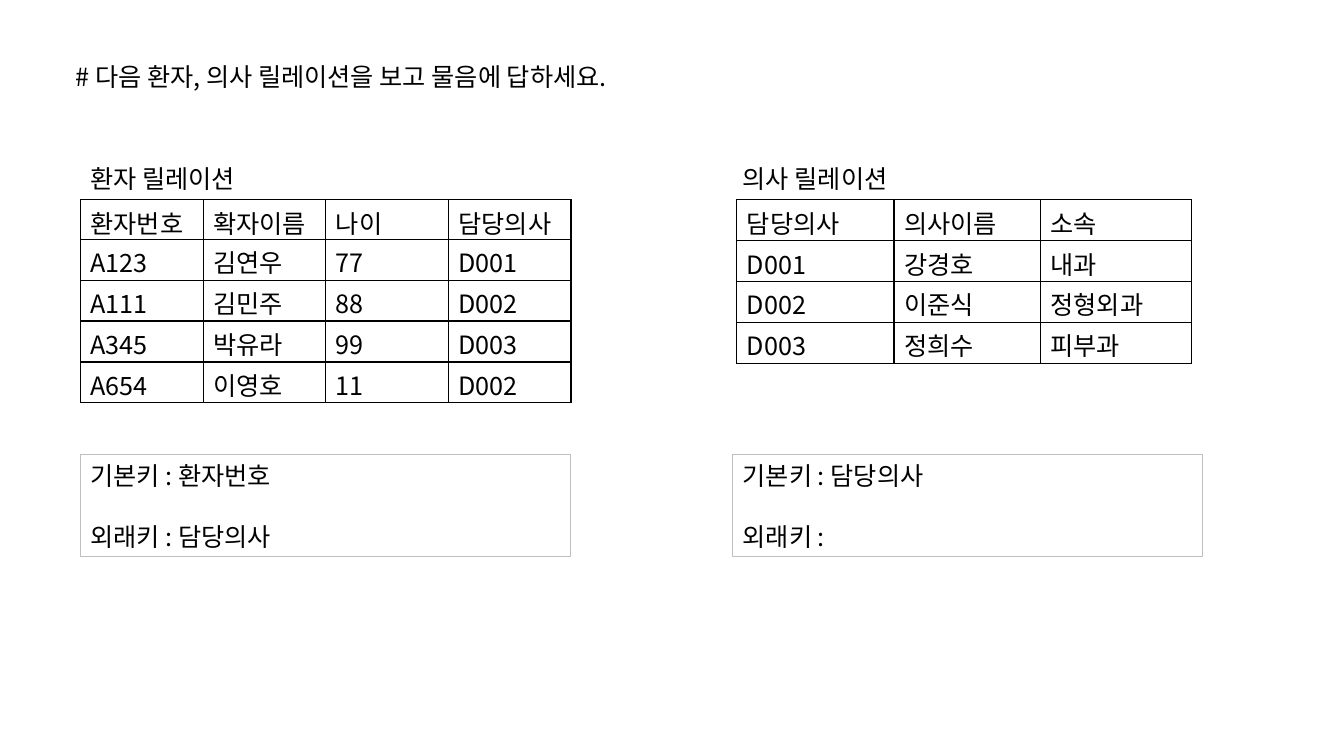
import dataclasses

import lxml.etree
import pptx
import pptx.dml.color
import pptx.enum.shapes
import pptx.enum.text
import pptx.oxml.ns
import pptx.shapes.base
import pptx.slide
import pptx.table
import pptx.text.text
import pptx.util

Cm = pptx.util.Cm
Pt = pptx.util.Pt
FONT = "Noto Sans CJK KR"
BLACK = "000000"
GREY = "BFBFBF"
LINE_HEIGHT = 21.8
LABEL_TOP, TABLE_TOP, KEYS_TOP = 3.99, 5.03, 11.46
LABEL_WIDTH, LABEL_HEIGHT, KEYS_HEIGHT = 4.6, 1.02, 2.57


@dataclasses.dataclass(frozen=True)
class Relation:
    name: str
    left: float
    table_left: float
    column_widths: list[float]
    row_heights: list[float]
    records: list[list[str]]
    keys: list[str]
    keys_width: float


RELATIONS = [
    Relation(
        "환자 릴레이션", 2.03, 2.03, [3.09] * 4, [1.0] + [1.03] * 4,
        [
            ["환자번호", "확자이름", "나이", "담당의사"],
            ["A123", "김연우", "77", "D001"],
            ["A111", "김민주", "88", "D002"],
            ["A345", "박유라", "99", "D003"],
            ["A654", "이영호", "11", "D002"],
        ],
        ["기본키 : 환자번호", "외래키 : 담당의사"], 12.34,
    ),
    Relation(
        "의사 릴레이션", 18.47, 18.57, [3.96, 3.69, 3.81], [1.03] * 4,
        [
            ["담당의사", "의사이름", "소속"],
            ["D001", "강경호", "내과"],
            ["D002", "이준식", "정형외과"],
            ["D003", "정희수", "피부과"],
        ],
        ["기본키 : 담당의사", "외래키 :"], 11.84,
    ),
]


def colour(value: str) -> pptx.dml.color.RGBColor:
    return pptx.dml.color.RGBColor.from_string(value)


def add_run(paragraph: pptx.text.text._Paragraph, wording: str) -> None:
    paragraph.alignment = pptx.enum.text.PP_ALIGN.LEFT
    run = paragraph.add_run()
    run.text = wording
    run.font.size = Pt(18)
    run.font.name = FONT
    run.font.color.rgb = colour(BLACK)
    east_asian = lxml.etree.SubElement(run.font._element, pptx.oxml.ns.qn("a:ea"))
    east_asian.set("typeface", FONT)


def write_lines(holder: pptx.shapes.base.BaseShape, lines: list[str]) -> None:
    frame = holder.text_frame
    frame.word_wrap = True
    frame.vertical_anchor = pptx.enum.text.MSO_ANCHOR.TOP
    for index, line in enumerate(lines):
        paragraph = frame.add_paragraph() if index else frame.paragraphs[0]
        paragraph.line_spacing = Pt(LINE_HEIGHT)
        paragraph.space_before = Pt(LINE_HEIGHT if index else 0)
        add_run(paragraph, line)


def add_borders(cell: pptx.table._Cell) -> None:
    properties = cell._tc.get_or_add_tcPr()
    for side in ("a:lnL", "a:lnR", "a:lnT", "a:lnB"):
        border = lxml.etree.SubElement(properties, pptx.oxml.ns.qn(side), w=str(Pt(1)))
        fill = lxml.etree.SubElement(border, pptx.oxml.ns.qn("a:solidFill"))
        lxml.etree.SubElement(fill, pptx.oxml.ns.qn("a:srgbClr"), val=BLACK)


def draw_table(slide: pptx.slide.Slide, relation: Relation) -> None:
    table = slide.shapes.add_table(
        len(relation.row_heights), len(relation.column_widths),
        Cm(relation.table_left), Cm(TABLE_TOP),
        Cm(sum(relation.column_widths)), Cm(sum(relation.row_heights)),
    ).table
    table.first_row = False
    table.horz_banding = False
    for column, width in zip(table.columns, relation.column_widths):
        column.width = Cm(width)
    for row, height, record in zip(table.rows, relation.row_heights, relation.records):
        row.height = Cm(height)
        for cell, value in zip(row.cells, record):
            cell.margin_top = Cm(0.11)
            cell.margin_bottom = Cm(0)
            add_borders(cell)
            cell.fill.background()
            add_run(cell.text_frame.paragraphs[0], value)


def draw_relation(slide: pptx.slide.Slide, relation: Relation) -> None:
    label = slide.shapes.add_textbox(
        Cm(relation.left), Cm(LABEL_TOP), Cm(LABEL_WIDTH), Cm(LABEL_HEIGHT)
    )
    write_lines(label, [relation.name])
    draw_table(slide, relation)
    keys = slide.shapes.add_shape(
        pptx.enum.shapes.MSO_SHAPE.RECTANGLE,
        Cm(relation.left), Cm(KEYS_TOP), Cm(relation.keys_width), Cm(KEYS_HEIGHT),
    )
    keys.shadow.inherit = False
    keys.fill.background()
    keys.line.color.rgb = colour(GREY)
    keys.line.width = Pt(0.75)
    write_lines(keys, relation.keys)


presentation = pptx.Presentation()
presentation.slide_width = Cm(33.87)
presentation.slide_height = Cm(19.05)
slide = presentation.slides.add_slide(presentation.slide_layouts[5])
question = slide.shapes.title
question.left, question.top = Cm(1.65), Cm(1.42)
question.width, question.height = Cm(15.6), Cm(LABEL_HEIGHT)
write_lines(question, ["# 다음 환자, 의사 릴레이션을 보고 물음에 답하세요."])
question.text_frame.auto_size = pptx.enum.text.MSO_AUTO_SIZE.NONE
for relation in RELATIONS:
    draw_relation(slide, relation)
presentation.save("out.pptx")
